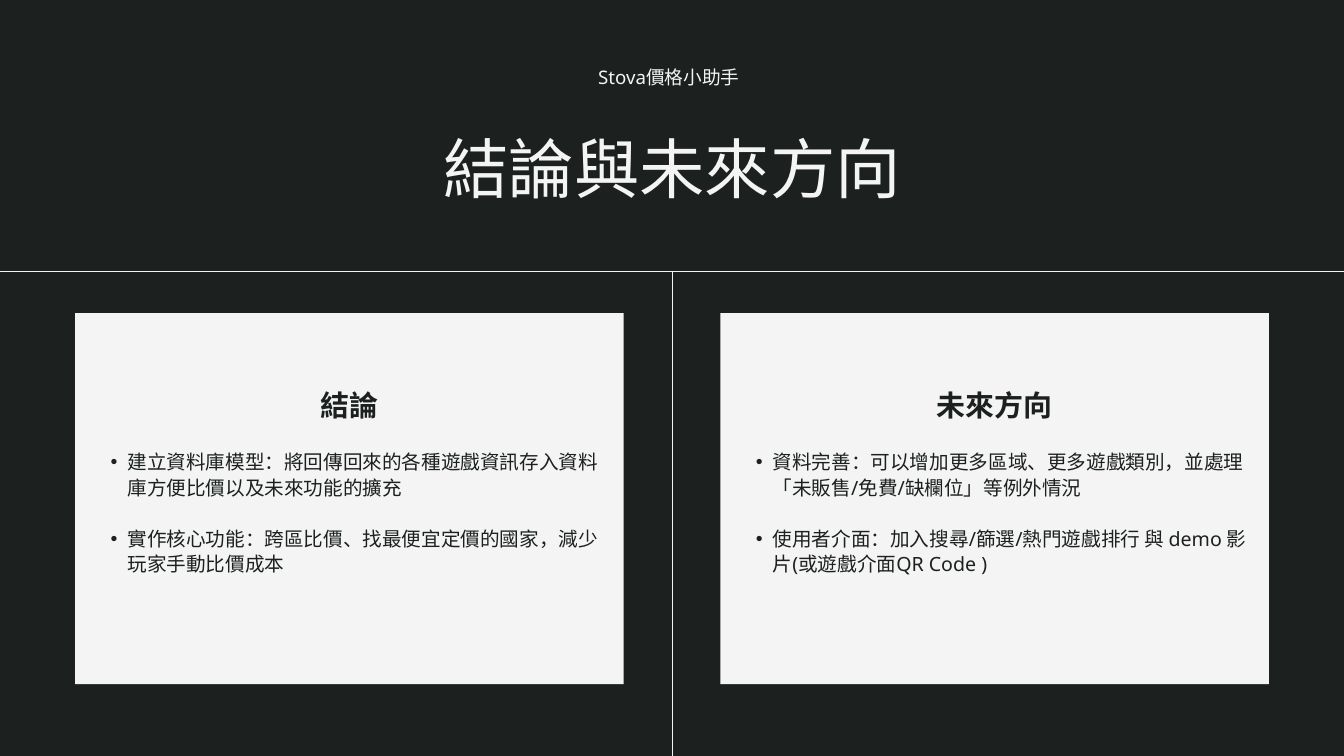
from dataclasses import dataclass

from lxml.etree import SubElement
from pptx import Presentation
from pptx.dml.color import RGBColor
from pptx.enum.shapes import MSO_CONNECTOR
from pptx.enum.text import MSO_ANCHOR as Anchor, MSO_AUTO_SIZE as AutoSize, PP_ALIGN as Align
from pptx.oxml.ns import qn
from pptx.util import Cm, Pt

WIDTH, HEIGHT = 50.8, 28.58
RULE_Y, DIVIDER_X = 10.24, 25.43
PANEL_TOP, PANEL_WIDTH, PANEL_HEIGHT = 11.84, 20.73, 14.02
PANEL_LEFT, PANEL_STEP = 2.84, 24.39

PANELS = [
    ("結論", [
        "建立資料庫模型：將回傳回來的各種遊戲資訊存入資料庫方便比價以及未來功能的擴充",
        "實作核心功能：跨區比價、找最便宜定價的國家，減少玩家手動比價成本",
    ]),
    ("未來方向", [
        "資料完善：可以增加更多區域、更多遊戲類別，並處理「未販售/免費/缺欄位」等例外情況",
        "使用者介面：加入搜尋/篩選/熱門遊戲排行 與 demo 影片(或遊戲介面QR Code )",
    ]),
]


@dataclass(frozen=True)
class Theme:
    dark: RGBColor = RGBColor(0x1C, 0x21, 0x20)
    light: RGBColor = RGBColor(0xF4, 0xF4, 0xF4)
    font: str = "Noto Sans"
    title: float = 70
    heading: float = 31
    body: float = 21
    label: float = 20
    rule: float = 0.75


class SlideBuilder:
    def __init__(self, slide, theme):
        self.slide, self.theme = slide, theme
        slide.background.fill.solid()
        slide.background.fill.fore_color.rgb = theme.dark

    def place(self, shape, left, top, width, height):
        shape.left, shape.top, shape.width, shape.height = map(Cm, (left, top, width, height))

    def frame(self, shape, left=0, top=0, right=0, bottom=0):
        frame = shape.text_frame
        frame.word_wrap = True
        frame.auto_size = AutoSize.NONE
        frame.vertical_anchor = Anchor.TOP
        frame.margin_left, frame.margin_top = Cm(left), Cm(top)
        frame.margin_right, frame.margin_bottom = Cm(right), Cm(bottom)
        return frame

    def style(self, paragraph, size, color, leading, align=Align.LEFT, before=0, bold=False):
        paragraph.alignment = align
        paragraph.line_spacing = Pt(leading)
        paragraph.space_before, paragraph.space_after = Pt(before), Pt(0)
        font = paragraph.font
        font.name, font.size, font.bold = self.theme.font, Pt(size), bold
        font.color.rgb = color

    def bullet(self, paragraph, indent, hanging, char=None):
        props = paragraph._p.get_or_add_pPr()
        props.set("marL", str(Cm(indent)))
        props.set("indent", str(-Cm(hanging)))
        if char:
            SubElement(props, qn("a:buFont")).set("typeface", "Arial")
            SubElement(props, qn("a:buChar")).set("char", char)
        else:
            SubElement(props, qn("a:buNone"))

    def title(self, text, *box):
        title = self.slide.shapes.title
        self.place(title, *box)
        paragraph = self.frame(title).paragraphs[0]
        paragraph.text = text
        self.style(paragraph, self.theme.title, self.theme.light, 84, Align.CENTER)

    def label(self, text, *box):
        label = self.slide.shapes.add_textbox(*map(Cm, box))
        paragraph = self.frame(label).paragraphs[0]
        paragraph.text = text
        self.style(paragraph, self.theme.label, self.theme.light, 28)

    def panel(self, body, heading, points, *box):
        theme = self.theme
        self.place(body, *box)
        body.fill.solid()
        body.fill.fore_color.rgb = theme.light
        frame = self.frame(body, left=0.71, top=2.72, right=0.71, bottom=0.71)
        head = frame.paragraphs[0]
        head.text = heading
        self.bullet(head, 0, 0)
        self.style(head, theme.heading, theme.dark, 40.3, Align.CENTER, bold=True)
        for point in points:
            item = frame.add_paragraph()
            item.text = point
            item.level = 1
            self.bullet(item, 1.27, 0.64, "•")
            self.style(item, theme.body, theme.dark, 27.3, before=27.3)

    def rule(self, *ends):
        line = self.slide.shapes.add_connector(MSO_CONNECTOR.STRAIGHT, *map(Cm, ends))
        line.line.color.rgb = self.theme.light
        line.line.width = Pt(self.theme.rule)
        SubElement(line._element.spPr, qn("a:effectLst"))


def main():
    deck = Presentation()
    deck.slide_width, deck.slide_height = Cm(WIDTH), Cm(HEIGHT)
    slide = deck.slides.add_slide(deck.slide_layouts.get_by_name("Two Content"))
    builder = SlideBuilder(slide, Theme())

    # Header
    builder.title("結論與未來方向", 6.55, 4.83, 37.72, 2.97)
    builder.label("Stova價格小助手", 22.61, 2.36, 7.62, 0.91)

    # Conclusion and future panels
    for column, (heading, points) in enumerate(PANELS):
        builder.panel(slide.placeholders[column + 1], heading, points,
                      PANEL_LEFT + column * PANEL_STEP, PANEL_TOP, PANEL_WIDTH, PANEL_HEIGHT)

    # Dividing lines
    builder.rule(0, RULE_Y, WIDTH, RULE_Y)
    builder.rule(DIVIDER_X, RULE_Y, DIVIDER_X, HEIGHT)

    deck.save("out.pptx")


if __name__ == "__main__":
    main()
